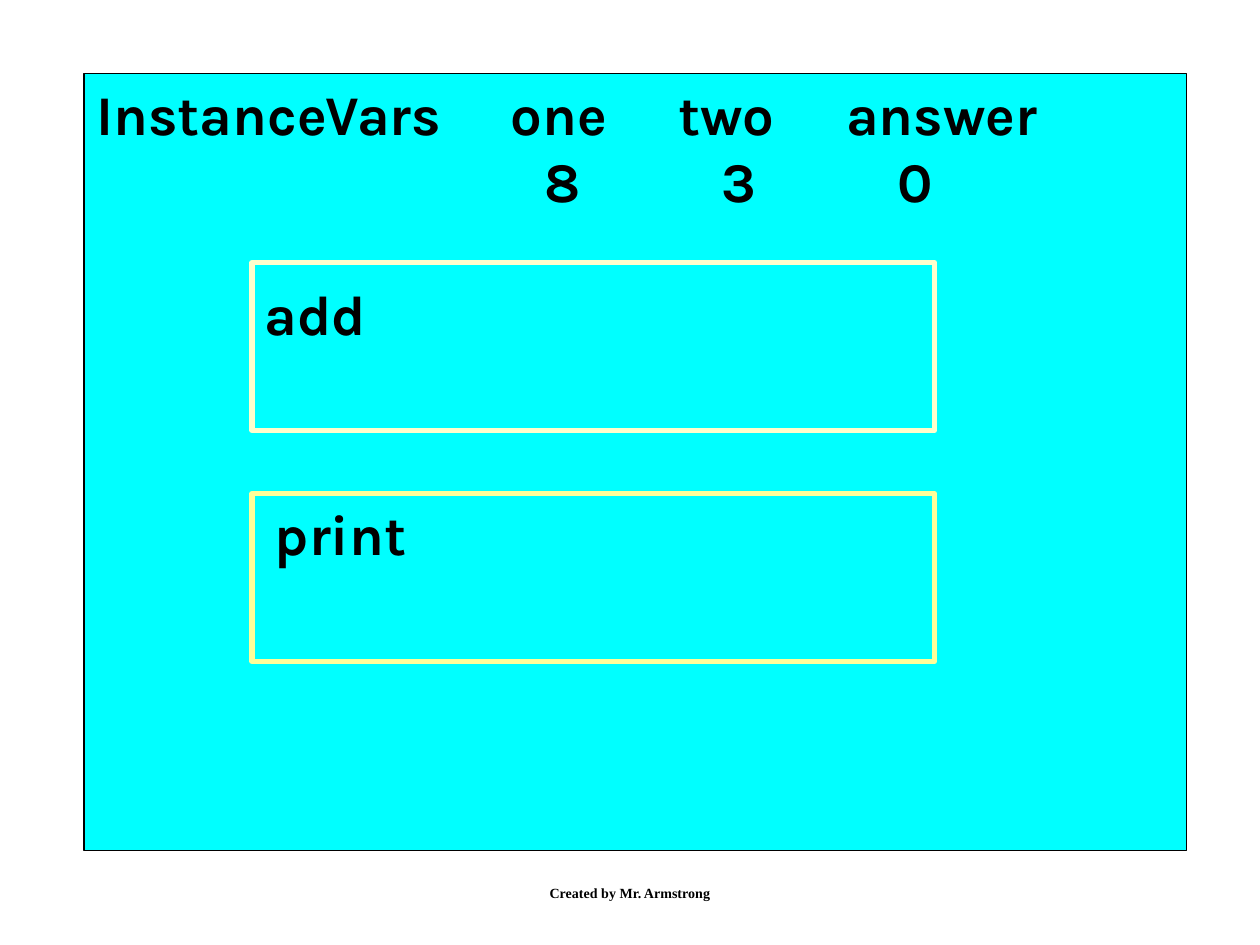
from pptx import Presentation
from pptx.dml.color import RGBColor
from pptx.enum.shapes import MSO_SHAPE as Shape
from pptx.enum.text import MSO_ANCHOR as Anchor, PP_ALIGN as Align
from pptx.oxml.ns import qn
from pptx.util import Inches, Pt
from lxml.etree import SubElement

COLORS = {"panel": "00FFFF", "ink": "000000", "add": "FFFFCC", "print": "FFFF99"}
COLUMNS, ROWS = 120, 90

deck = Presentation()
deck.slide_width, deck.slide_height = Inches(10), Inches(7.5)
slide = deck.slides.add_slide(deck.slide_layouts[6])


def place(box):
    left, top, width, height = box
    column, row = deck.slide_width / COLUMNS, deck.slide_height / ROWS
    return [round(n) for n in (left * column, top * row, width * column, height * row)]


def add_frame(box, border, weight):
    frame = slide.shapes.add_shape(Shape.RECTANGLE, *place(box))
    frame.shadow.inherit = False
    frame.fill.solid()
    frame.fill.fore_color.rgb = RGBColor.from_string(COLORS["panel"])
    frame.line.color.rgb = RGBColor.from_string(COLORS[border])
    frame.line.width = Pt(weight)


def add_text(box, *lines, size=32, font="Karla", align=Align.LEFT, anchor=Anchor.TOP, tabs=()):
    frame = slide.shapes.add_textbox(*place(box)).text_frame
    frame.word_wrap = True
    frame.vertical_anchor = anchor
    for index, line in enumerate(lines):
        paragraph = frame.add_paragraph() if index else frame.paragraphs[0]
        paragraph.text = line
        paragraph.alignment = align
        if tabs:
            stops = SubElement(paragraph._p.get_or_add_pPr(), qn("a:tabLst"))
            for stop, kind in tabs[index]:
                SubElement(stops, qn("a:tab"), pos=str(Inches(stop)), algn=kind)
        paragraph.font.size = Pt(size)
        paragraph.font.name = font
        paragraph.font.bold = True
        paragraph.font.color.rgb = RGBColor.from_string(COLORS["ink"])


def add_variables(box, variables):
    name_stops = [(3.29 + 1.33 * i, "l") for i in range(len(variables))]
    value_stops = [(3.7 + 1.4 * i, "ctr") for i in range(len(variables))]
    names = "\t".join(["InstanceVars", *variables])
    values = "\t".join(["", *map(str, variables.values())])
    add_text(box, names, values, tabs=(name_stops, value_stops))


def add_method(box, name, label_left, label_top, label_width):
    left, top, _, height = box
    add_frame(box, name, 3)
    add_text((left + label_left, top + label_top, label_width, height / 2), name)


def add_object(box):
    left, top, width, _ = box
    add_frame(box, "ink", 0.75)
    add_variables((left, top, width + 3, 14), {"one": 8, "two": 3, "answer": 0})
    add_method((left + 16, top + 18, 65, 16), "add", 0, 1, 20)
    add_method((left + 16, top + 40, 65, 16), "print", 1, 0, 25)


def add_credit(box):
    add_text(box, "Created by Mr. Armstrong", size=8, font="Times New Roman",
             align=Align.CENTER, anchor=Anchor.MIDDLE)


add_object((8, 7, 105, 74))
add_credit((41, 82, 38, 6))
deck.save("out.pptx")
